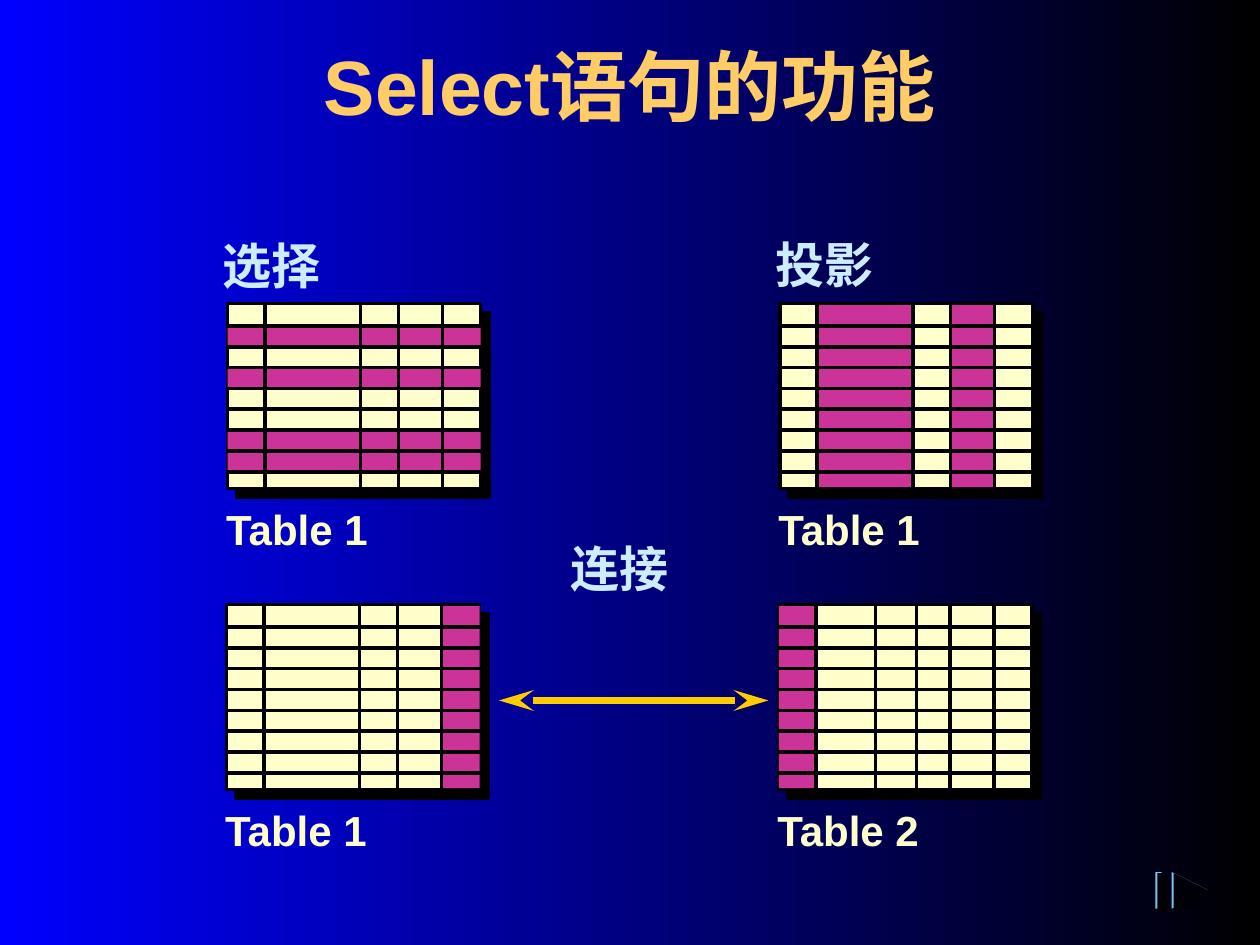
from dataclasses import dataclass
from typing import NamedTuple

from lxml.etree import SubElement
from pptx import Presentation
from pptx.dml.color import RGBColor as Rgb
from pptx.enum.shapes import MSO_CONNECTOR as Connector, MSO_SHAPE as Preset
from pptx.enum.text import MSO_ANCHOR as Anchor, MSO_AUTO_SIZE as AutoSize, PP_ALIGN as Align
from pptx.oxml.ns import qn
from pptx.util import Cm, Pt


@dataclass(frozen=True)
class Theme:
    font: str = "Arial"
    title: str = "FFCC66"
    heading: str = "CCECFF"
    caption: str = "FFFFCC"
    cell: str = "FFFFCC"
    band: str = "CC3399"
    black: str = "000000"
    blue: str = "0000FF"
    arrow: str = "FFCC00"
    icon_edge: str = "7FC1EB"
    icon_face: str = "000009"
    title_size: int = 44
    heading_size: int = 28
    caption_size: int = 24
    grid_width: int = 2
    arrow_width: int = 4


THEME = Theme()

GRID_WIDTH, GRID_HEIGHT = 5.1, 3.73
OVERHANG = 0.04
ROW_EDGES = [0, *(round(0.45 + 0.42 * row, 2) for row in range(8)), GRID_HEIGHT]
FIVE_COLUMNS = (0, 0.75, 2.68, 3.44, 4.33, GRID_WIDTH)
SIX_COLUMNS = (0, 0.75, 1.95, 2.78, 3.45, 4.34, GRID_WIDTH)


class Grid(NamedTuple):
    """A table sketch; bands are (first, end) edge indices of rows or columns."""
    left: float
    top: float
    columns: tuple
    caption: str
    row_bands: tuple = ()
    column_bands: tuple = ()


class Heading(NamedTuple):
    text: str
    left: float
    top: float
    width: float


GRIDS = (
    Grid(4.59, 6.12, FIVE_COLUMNS, "Table 1", row_bands=((1, 2), (3, 4), (6, 8))),
    Grid(15.72, 6.12, FIVE_COLUMNS, "Table 1", column_bands=((1, 2), (3, 4))),
    Grid(4.57, 12.19, FIVE_COLUMNS, "Table 1", column_bands=((4, 5),)),
    Grid(15.7, 12.19, SIX_COLUMNS, "Table 2", column_bands=((0, 1),)),
)
HEADINGS = (
    Heading("选择", 4.24, 4.62, 3.05),
    Heading("投影", 15.39, 4.6, 2.9),
    Heading("连接", 11.25, 10.74, 2.84),
)


def color(value: str) -> Rgb:
    return Rgb.from_string(value)


def add_shadow(effects, distance: float) -> None:
    """Put a hard black shadow, falling to the lower right, in an effect list."""
    shadow = SubElement(effects, qn("a:outerShdw"), dist=str(Pt(distance)),
                        dir="2700000", algn="ctr", rotWithShape="0")
    SubElement(shadow, qn("a:srgbClr"), val=THEME.black)


def paint(shape, fill: str) -> None:
    shape.shadow.inherit = False
    shape.fill.solid()
    shape.fill.fore_color.rgb = color(fill)
    shape.line.fill.background()


def add_rectangle(slide, left: float, top: float, width: float, height: float, fill: str):
    shape = slide.shapes.add_shape(Preset.RECTANGLE, Cm(left), Cm(top), Cm(width), Cm(height))
    paint(shape, fill)
    return shape


def add_line(slide, start: tuple, end: tuple, line_color: str, width: float):
    line = slide.shapes.add_connector(Connector.STRAIGHT, *map(Cm, start + end))
    line.line.color.rgb = color(line_color)
    line.line.width = Pt(width)
    SubElement(line._element.spPr, qn("a:effectLst"))
    return line


def add_run(paragraph, text: str, size: int, text_color: str):
    run = paragraph.add_run()
    run.text = text
    run.font.name = THEME.font
    run.font.size = Pt(size)
    run.font.bold = True
    run.font.color.rgb = color(text_color)
    return run


def add_label(slide, text: str, box: tuple, size: int, text_color: str, wrap: bool) -> None:
    frame = slide.shapes.add_textbox(*map(Cm, box)).text_frame
    frame.word_wrap = wrap
    frame.auto_size = AutoSize.SHAPE_TO_FIT_TEXT
    add_run(frame.paragraphs[0], text, size, text_color)


def add_grid(slide, grid: Grid) -> None:
    left, top = grid.left, grid.top
    outline = add_rectangle(slide, left, top, GRID_WIDTH, GRID_HEIGHT, THEME.cell)
    outline.line.color.rgb = color(THEME.black)
    outline.line.width = Pt(THEME.grid_width)
    add_shadow(outline._element.spPr.find(qn("a:effectLst")), 7.1)

    for first, end in grid.row_bands:
        upper, lower = ROW_EDGES[first], ROW_EDGES[end]
        add_rectangle(slide, left, top + upper, GRID_WIDTH, lower - upper, THEME.band)
    for first, end in grid.column_bands:
        near, far = grid.columns[first], grid.columns[end]
        add_rectangle(slide, left + near, top + 0.03, far - near, GRID_HEIGHT - 0.06, THEME.band)

    for x in grid.columns[1:-1]:
        add_line(slide, (left + x, top - OVERHANG), (left + x, top + GRID_HEIGHT + OVERHANG),
                 THEME.black, THEME.grid_width)
    for y in ROW_EDGES[1:-1]:
        add_line(slide, (left - OVERHANG, top + y), (left + GRID_WIDTH + OVERHANG, top + y),
                 THEME.black, THEME.grid_width)
    add_label(slide, grid.caption, (left - 0.28, top + 3.9, 3.43, 1.27),
              THEME.caption_size, THEME.caption, wrap=False)


def add_title(slide, text: str) -> None:
    title = slide.shapes.title
    title.left, title.top, title.width, title.height = map(Cm, (1.9, 0.64, 21.6, 2.74))
    title.text_frame.vertical_anchor = Anchor.TOP
    paragraph = title.text_frame.paragraphs[0]
    paragraph.alignment = Align.CENTER
    run = add_run(paragraph, text, THEME.title_size, THEME.title)
    effects = SubElement(run._r.rPr, qn("a:effectLst"))
    run._r.rPr.find(qn("a:solidFill")).addnext(effects)
    add_shadow(effects, 3)


def add_join_arrow(slide) -> None:
    arrow = add_line(slide, (10.06, 14.12), (15.49, 14.12), THEME.arrow, THEME.arrow_width)
    for end in ("a:headEnd", "a:tailEnd"):
        SubElement(arrow.line._get_or_add_ln(), qn(end), type="stealth", w="med", len="lg")


def add_next_icon(slide) -> None:
    """Draw a bar and a triangle, each as shade, bright edge and face."""
    size = 0.74
    layers = ((23.37, 17.63, THEME.black), (23.29, 17.58, THEME.icon_edge),
              (23.33, 17.6, THEME.icon_face))
    for left, top, fill in layers:
        add_rectangle(slide, left, top, 0.13, size, fill)
    for bar_left, top, fill in layers:
        left = bar_left + 0.33
        builder = slide.shapes.build_freeform(Cm(left), Cm(top))
        builder.add_line_segments([(Cm(left), Cm(top + size)),
                                   (Cm(left + size), Cm(top + size / 2))])
        paint(builder.convert_to_shape(), fill)


def set_background(slide) -> None:
    fill = slide.background.fill
    fill.gradient()
    fill.gradient_angle = 180
    for stop, position, value in zip(fill.gradient_stops, (0, 1), (THEME.black, THEME.blue)):
        stop.position = position
        stop.color.rgb = color(value)


def main() -> None:
    presentation = Presentation()
    presentation.slide_width, presentation.slide_height = Cm(25.4), Cm(19.05)
    slide = presentation.slides.add_slide(presentation.slide_layouts[5])
    set_background(slide)
    add_title(slide, "Select语句的功能")
    for grid in GRIDS:
        add_grid(slide, grid)
    for text, left, top, width in HEADINGS:
        add_label(slide, text, (left, top, width, 1.45),
                  THEME.heading_size, THEME.heading, wrap=True)
    add_join_arrow(slide)
    add_next_icon(slide)
    presentation.save("out.pptx")


if __name__ == "__main__":
    main()
